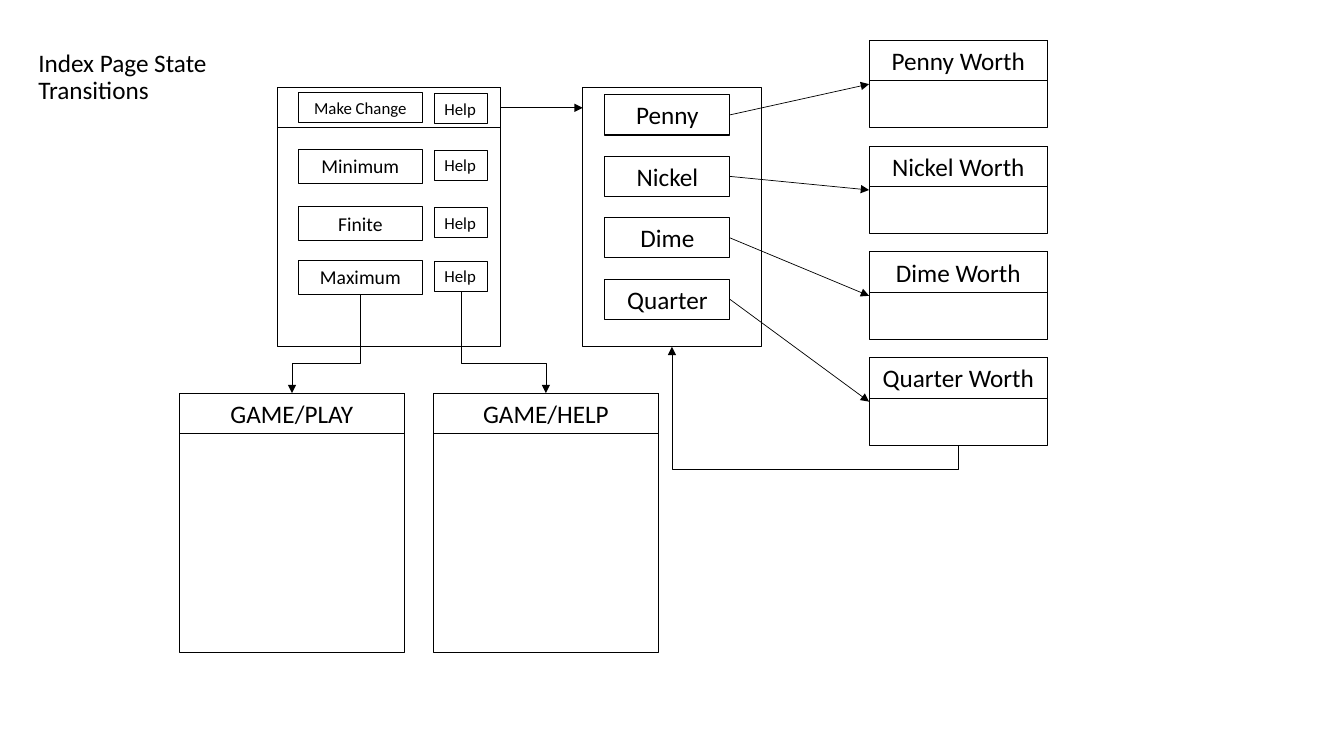
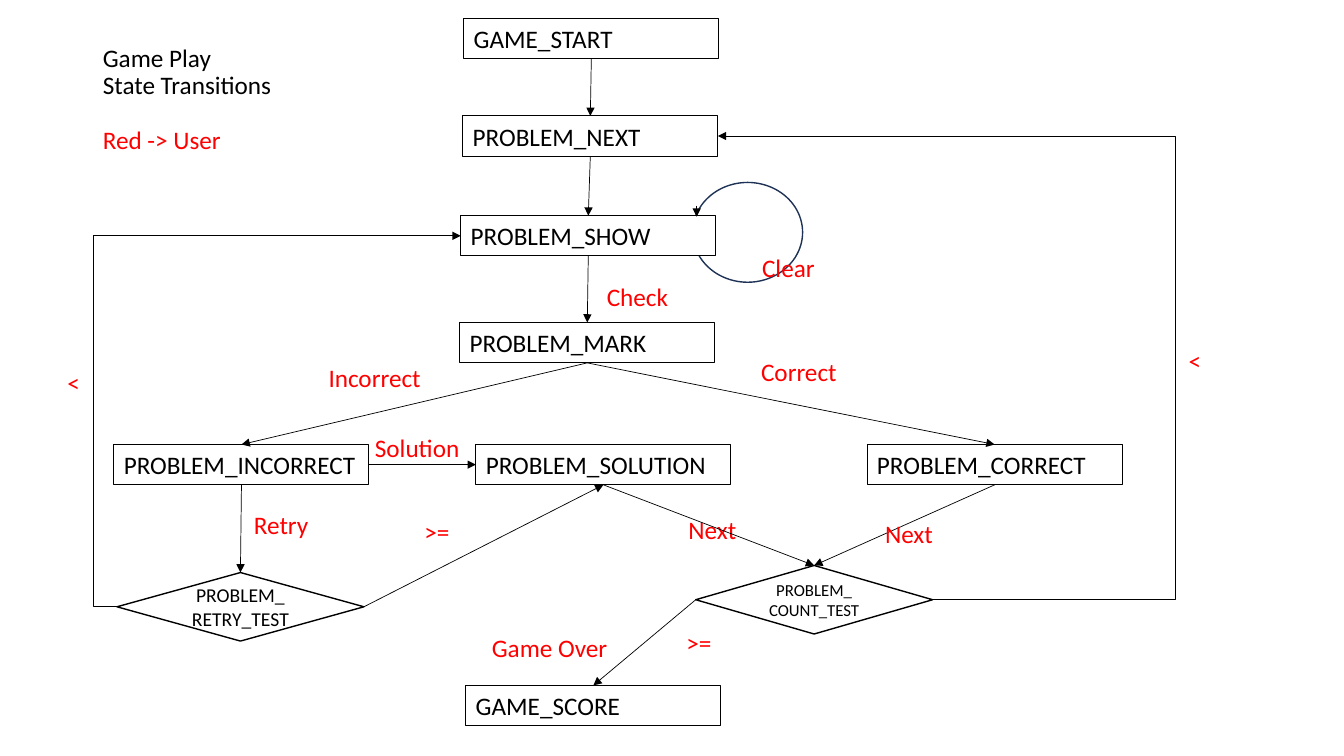
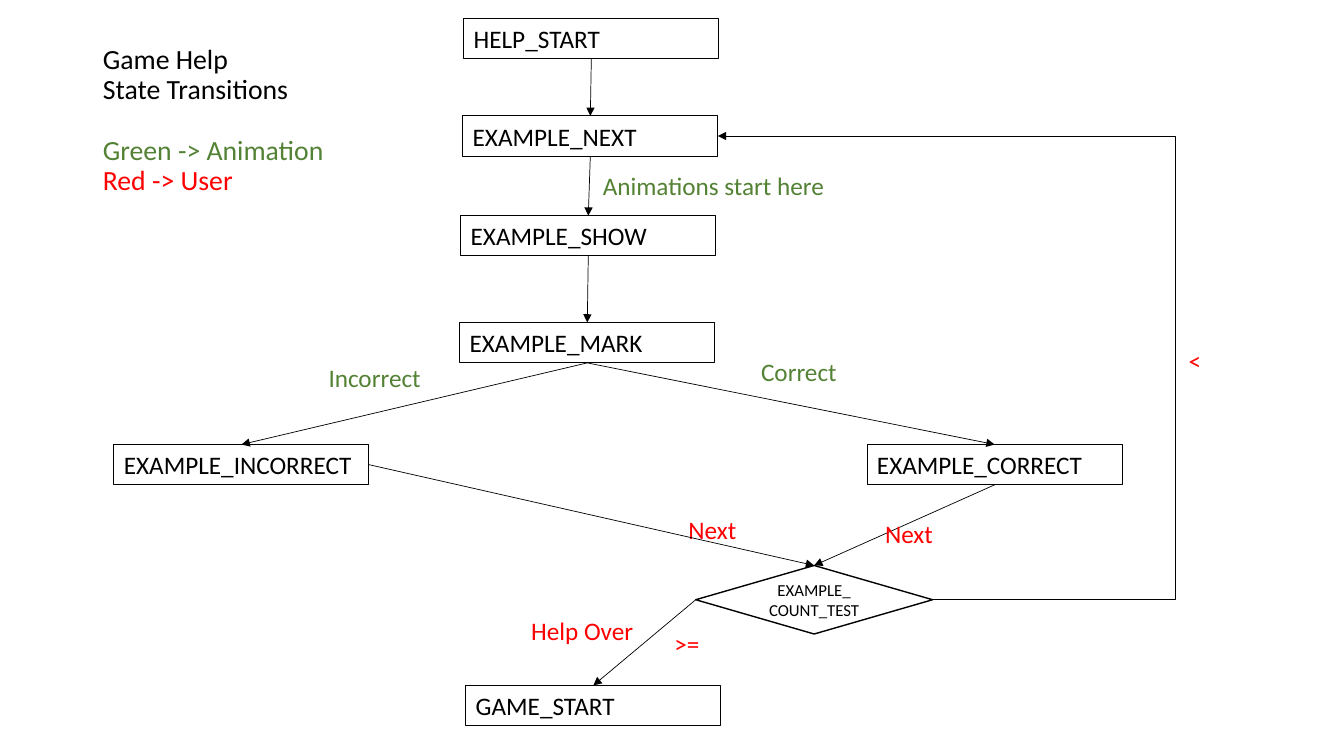
"""Builds three slides of state transition diagrams for a coin game."""
from dataclasses import dataclass
from typing import Any

from lxml.etree import SubElement
from pptx import Presentation
from pptx.dml.color import RGBColor
from pptx.enum.shapes import MSO_CONNECTOR as CONNECTOR, MSO_SHAPE as SHAPE
from pptx.enum.text import MSO_ANCHOR as ANCHOR, MSO_AUTO_SIZE as AUTO_SIZE, PP_ALIGN as ALIGN
from pptx.oxml.ns import qn
from pptx.util import Pt

PX = 9144
SLIDE_W, SLIDE_H = 1333, 750
FONT = "Calibri"
BLACK = RGBColor(0x00, 0x00, 0x00)
WHITE = RGBColor(0xFF, 0xFF, 0xFF)
RED = RGBColor(0xFF, 0x00, 0x00)
GREEN = RGBColor(0x54, 0x82, 0x35)
NAVY = RGBColor(0x1E, 0x32, 0x56)
SIDES = {"top": (0, 0.5, 0), "left": (1, 0, 0.5), "bottom": (2, 0.5, 1), "right": (3, 1, 0.5)}
STEP_W, ROW_H = 253, 40


def write(frame, lines, size, colours, align=ALIGN.LEFT):
    """Write one paragraph for each line, with one colour for each."""
    frame.text = "\n".join(lines)
    for paragraph, colour in zip(frame.paragraphs, colours):
        paragraph.alignment = align
        for run in paragraph.runs:
            run.font.name, run.font.size = FONT, Pt(size)
            run.font.bold = False
            run.font.color.rgb = colour


def edge(shape, side):
    """Return the middle of one side of a shape in EMU."""
    _, across, down = SIDES[side]
    return int(shape.left + across * shape.width), int(shape.top + down * shape.height)


@dataclass
class Region:
    """Places parts, in px, from the left and top of a region."""
    shapes: Any
    left: int = 0
    top: int = 0

    def place(self, x, y, w, h):
        """Turn a box of the region into EMU on the slide."""
        return (self.left + x) * PX, (self.top + y) * PX, w * PX, h * PX

    def outline(self, kind, x, y, w, h, weight=0.75, colour=BLACK, fill=None):
        """Draw a shape with a thin outline."""
        shape = self.shapes.add_shape(kind, *self.place(x, y, w, h))
        shape.shadow.inherit = False
        shape.line.color.rgb, shape.line.width = colour, Pt(weight)
        if fill is None:
            shape.fill.background()
        else:
            shape.fill.solid()
            shape.fill.fore_color.rgb = fill
        return shape

    def box(self, text, x, y, w, h=ROW_H, size=18, align=ALIGN.CENTER, fill=None):
        """Draw a rectangle with one line of text."""
        shape = self.outline(SHAPE.RECTANGLE, x, y, w, h, fill=fill)
        frame = shape.text_frame
        frame.word_wrap, frame.auto_size = True, AUTO_SIZE.SHAPE_TO_FIT_TEXT
        frame.vertical_anchor = ANCHOR.TOP
        write(frame, [text], size, [BLACK], align)
        return shape

    def step(self, text, x, y, fill=None):
        """Draw one state of a flow."""
        return self.box(text, x, y, STEP_W, align=ALIGN.LEFT, fill=fill)

    def decision(self, lines, x, y, w, size):
        """Draw a test as a diamond."""
        shape = self.outline(SHAPE.FLOWCHART_DECISION, x, y, w, 68, weight=1)
        frame = shape.text_frame
        frame.word_wrap, frame.vertical_anchor = True, ANCHOR.MIDDLE
        frame.margin_left = frame.margin_right = 0
        write(frame, lines, size, [BLACK] * len(lines), ALIGN.CENTER)
        return shape

    def label(self, text, x, y, w=101, colour=RED):
        """Name a transition."""
        frame = self.shapes.add_textbox(*self.place(x, y, w, ROW_H)).text_frame
        frame.word_wrap, frame.auto_size = True, AUTO_SIZE.SHAPE_TO_FIT_TEXT
        write(frame, [text], 18, [colour])

    def panel(self, heading, x, y, w, h):
        """Draw a frame with a heading row, grouped, and return both."""
        group = Region(self.shapes.add_group_shape().shapes, self.left, self.top)
        frame = group.outline(SHAPE.RECTANGLE, x, y, w, h)
        return frame, group.box(heading, x, y, w)

    def arrow(self, begin, end, kind=CONNECTOR.STRAIGHT):
        """Draw an arrow between two points in EMU."""
        connector = self.shapes.add_connector(kind, *begin, *end)
        connector.line.color.rgb, connector.line.width = BLACK, Pt(0.5)
        properties = connector.element.spPr
        SubElement(properties.find(qn("a:ln")), qn("a:tailEnd"), type="triangle")
        SubElement(properties, qn("a:effectLst"))
        return connector

    def link(self, source, source_side, target, target_side):
        """Join two shapes with a straight arrow."""
        connector = self.arrow(edge(source, source_side), edge(target, target_side))
        connector.begin_connect(source, SIDES[source_side][0])
        connector.end_connect(target, SIDES[target_side][0])

    def bend(self, source, source_side, target, target_side, turn):
        """Join two shapes with an elbow arrow that turns at a px of the region."""
        (x1, y1), (x2, y2) = edge(source, source_side), edge(target, target_side)
        dx, dy = x2 - x1, y2 - y1
        if source_side in ("top", "bottom"):
            spin = 1 if dx < 0 else -1
            half_w, half_h = spin * dy // 2, abs(dx) // 2
            mid_x, mid_y = (x1 + x2) // 2, (y1 + y2) // 2
            connector = self.arrow((mid_x - half_w, mid_y - half_h),
                                   (mid_x + half_w, mid_y + half_h), CONNECTOR.ELBOW)
            connector.element.spPr.xfrm.set("rot", str(spin % 4 * 5400000))
            ratio = ((self.top + turn) * PX - y1) / dy
        else:
            connector = self.arrow((x1, y1), (x2, y2), CONNECTOR.ELBOW)
            ratio = ((self.left + turn) * PX - x1) / dx
        guides = connector.element.spPr.find(qn("a:prstGeom")).find(qn("a:avLst"))
        SubElement(guides, qn("a:gd"), name="adj1", fmla=f"val {round(ratio * 100000)}")


def add_slide(deck, title_box, title, legend=(), size=18):
    """Add a slide with a title and a legend of (text, colour) lines."""
    slide = deck.slides.add_slide(deck.slide_layouts[5])
    heading = slide.shapes.title
    region = Region(slide.shapes)
    heading.left, heading.top, heading.width, heading.height = region.place(*title_box)
    frame = heading.text_frame
    frame.word_wrap, frame.auto_size = True, AUTO_SIZE.NONE
    frame.vertical_anchor = ANCHOR.TOP
    lines = title + [text for text, _ in legend]
    write(frame, lines, size, [BLACK] * len(title) + [colour for _, colour in legend])
    for paragraph in frame.paragraphs:
        paragraph.line_spacing, paragraph.space_before = 0.9, Pt(0)
    if legend:
        frame.paragraphs[len(title)].space_before = Pt(round(size * 1.1))
    return slide


def level_menu(shapes, left, top):
    """Draw the menu of levels; return its header, last level and last help."""
    menu = Region(shapes.add_group_shape().shapes, left, top)
    menu.outline(SHAPE.RECTANGLE, 0, 0, 221, 257)
    header = menu.outline(SHAPE.RECTANGLE, 0, 0, 221, ROW_H)
    rows = [("Make Change", 5, 30, 12), ("Minimum", 61, 34, 14),
            ("Finite", 118, 34, 14), ("Maximum", 171, 34, 14)]
    for text, y, h, size in rows:
        level = menu.box(text, 21, y, 123, h, size)
        help_button = menu.box("Help", 156, y + 1, 53, 30, 12, ALIGN.LEFT)
    return header, level, help_button


def coin_menu(shapes, left, top):
    """Draw the menu of coins and the worth panel of each."""
    menu = Region(shapes, left, top)
    frame = menu.outline(SHAPE.RECTANGLE, 0, 0, 177, 257)
    for i, name in enumerate(["Penny", "Nickel", "Dime", "Quarter"]):
        coin = menu.box(name, 22, 7 + 61 * i, 124)
        worth, _ = menu.panel(f"{name} Worth", 284, 105 * i - 47, 177, 87)
        menu.link(coin, "right", worth, "left")
    menu.bend(worth, "bottom", frame, "bottom", 379)
    return frame


def index_page(deck):
    """Build the slide of the index page."""
    slide = add_slide(deck, (28, 45, 204, 104), ["Index Page State Transitions"])
    page = Region(slide.shapes)
    header, level, help_button = level_menu(slide.shapes, 275, 87)
    coins = coin_menu(slide.shapes, 578, 87)
    right, middle = edge(header, "right")
    page.arrow((right, middle), (coins.left, middle))
    for heading, x, button in [("GAME/PLAY", 178, level), ("GAME/HELP", 430, help_button)]:
        frame, _ = page.panel(heading, x, 390, 223, 257)
        page.bend(button, "bottom", frame, "top", 360)


def question_flow(flow, prefix, start, finish, finish_label, outcome_colour):
    """Draw the flow that play and help share; return its states by name."""
    spots = {"NEXT": (367, 97), "SHOW": (365, 196), "MARK": (364, 302),
             "INCORRECT": (21, 423), "CORRECT": (768, 423)}
    states = {"START": flow.step(start, 368, 0)}
    for name, (x, y) in spots.items():
        states[name] = flow.step(f"{prefix}_{name}", x, y, WHITE if name == "SHOW" else None)
    states["FINISH"] = flow.step(finish, 370, 662)
    states["TEST"] = flow.decision([f"{prefix}_", "COUNT_TEST"], 598, 543, 235, 12)
    chain = ["START", "NEXT", "SHOW", "MARK"]
    pairs = list(zip(chain, chain[1:]))
    pairs += [("MARK", "INCORRECT"), ("MARK", "CORRECT"), ("CORRECT", "TEST")]
    for source, target in pairs:
        flow.link(states[source], "bottom", states[target], "top")
    flow.link(states["TEST"], "left", states["FINISH"], "top")
    flow.bend(states["TEST"], "right", states["NEXT"], "right", 1074)
    flow.label("Incorrect", 224, 337, 138, outcome_colour)
    flow.label("Correct", 653, 331, 101, outcome_colour)
    flow.label("Next", 581, 487)
    flow.label("Next", 776, 491)
    flow.label("<", 1077, 320, 49)
    flow.label(*finish_label)
    return states


def game_play(deck):
    """Build the slide of the game itself."""
    slide = add_slide(deck, (92, 40, 271, 140), ["Game Play", "State Transitions"],
                      [("Red -> User", RED)])
    flow = Region(slide.shapes, 92, 18)
    flow.outline(SHAPE.OVAL, 595, 163, 109, 99, weight=1, colour=NAVY)
    states = question_flow(flow, "PROBLEM", "GAME_START", "GAME_SCORE",
                           ("Game Over", 386, 604, 163), RED)
    solution = flow.step("PROBLEM_SOLUTION", 380, 423)
    retry = flow.decision(["PROBLEM_", "RETRY_TEST"], 24, 550, 245, 14)
    flow.link(states["INCORRECT"], "right", solution, "left")
    flow.link(states["INCORRECT"], "bottom", retry, "top")
    flow.link(retry, "right", solution, "bottom")
    flow.link(solution, "bottom", states["TEST"], "top")
    flow.bend(retry, "left", states["SHOW"], "left", 0)
    loop_x, loop_y, _, loop_h = flow.place(599, 186, 0, 11)
    flow.arrow((loop_x, loop_y), (loop_x, loop_y + loop_h))
    labels = [("Check", 500, 256, 101), ("Clear", 654, 227, 101), ("Solution", 270, 406, 135),
              ("Retry", 150, 482, 138), ("<", -35, 341, 49), (">=", 319, 489, 49),
              (">=", 579, 599, 46)]
    for label in labels:
        flow.label(*label)


def game_help(deck):
    """Build the slide of the worked example."""
    slide = add_slide(deck, (92, 40, 292, 216), ["Game Help", "State Transitions"],
                      [("Green -> Animation", GREEN), ("Red -> User", RED)], 19.8)
    flow = Region(slide.shapes, 92, 18)
    states = question_flow(flow, "EXAMPLE", "HELP_START", "GAME_START",
                           ("Help Over", 425, 588, 178), GREEN)
    flow.link(states["INCORRECT"], "right", states["TEST"], "top")
    flow.label("Animations start here", 496, 146, 248, GREEN)
    flow.label(">=", 567, 600, 49)


def main():
    """Build and save the deck."""
    deck = Presentation()
    deck.slide_width, deck.slide_height = SLIDE_W * PX, SLIDE_H * PX
    index_page(deck)
    game_play(deck)
    game_help(deck)
    deck.save("out.pptx")


if __name__ == "__main__":
    main()
